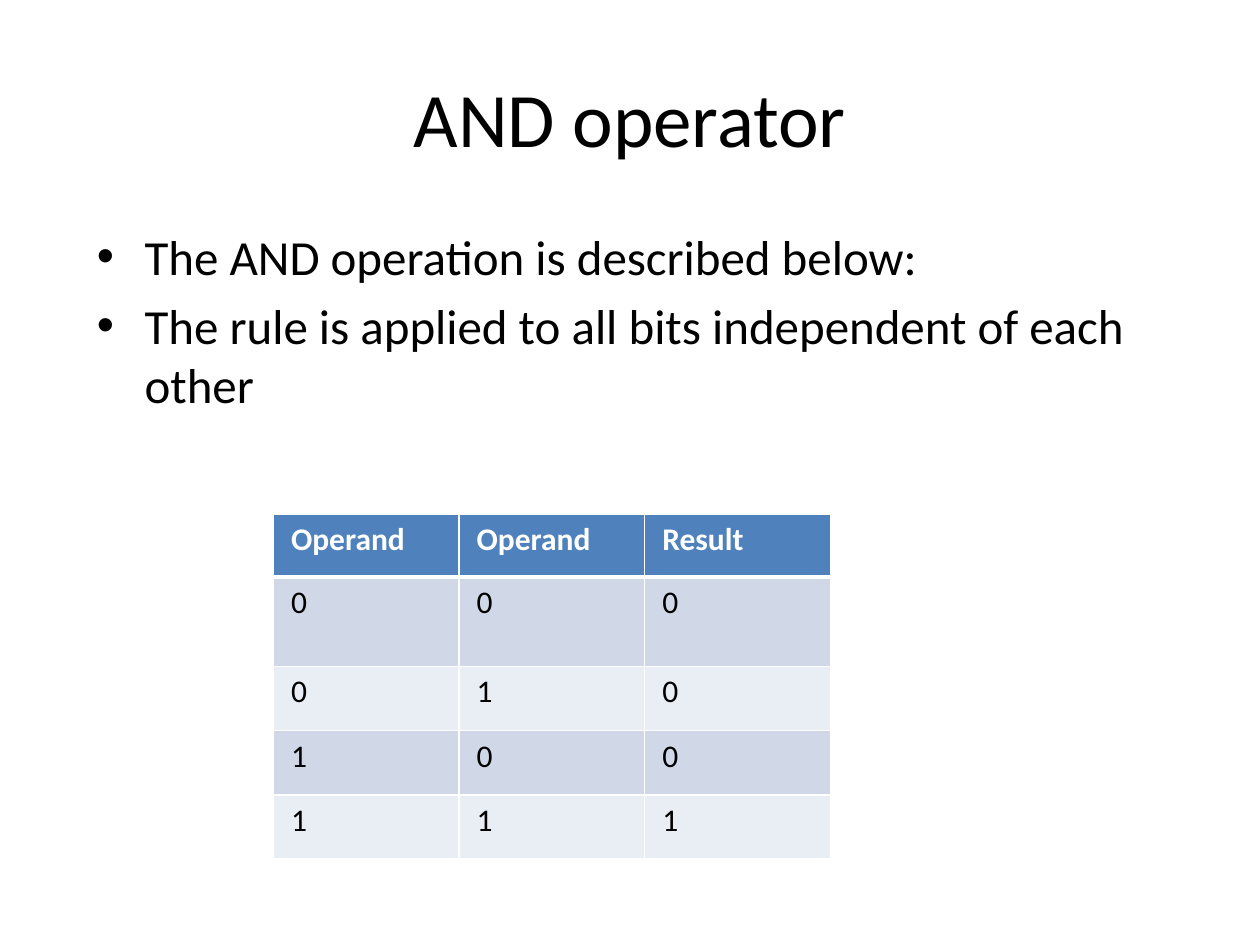
import pptx
import pptx.util
import pptx.dml.color
import pptx.enum.text
import pptx.oxml.ns
import lxml.etree

Inches = pptx.util.Inches
Pt = pptx.util.Pt
COLORS = {"text": "000000", "white": "FFFFFF", "header": "4F81BD",
          "band_dark": "D0D8E8", "band_light": "E9EDF4"}
FONT = "Calibri"
TRUTH_TABLE = [["Operand", "Operand", "Result"],
               ["0", "0", "0"],
               ["0", "1", "0"],
               ["1", "0", "0"],
               ["1", "1", "1"]]
ROW_HEIGHTS = [0.5, 0.71, 0.51, 0.51, 0.51]


def rgb(name):
    return pptx.dml.color.RGBColor.from_string(COLORS[name])


def add_xml(parent, tag, **attributes):
    return lxml.etree.SubElement(parent, pptx.oxml.ns.qn(tag), attributes)


def write(paragraph, text, size, color="text", bold=False):
    paragraph.text = text
    for run in paragraph.runs:
        run.font.name = FONT
        run.font.size = Pt(size)
        run.font.bold = bold
        run.font.color.rgb = rgb(color)


def add_text_frame(slide, box):
    frame = slide.shapes.add_textbox(*map(Inches, box)).text_frame
    frame.word_wrap = True
    return frame


def add_title(slide, box, text):
    title = add_text_frame(slide, box)
    title.vertical_anchor = pptx.enum.text.MSO_ANCHOR.MIDDLE
    write(title.paragraphs[0], text, 44)
    title.paragraphs[0].alignment = pptx.enum.text.PP_ALIGN.CENTER


def add_bullets(slide, box, points):
    body = add_text_frame(slide, box)
    for index, point in enumerate(points):
        paragraph = body.paragraphs[0] if index == 0 else body.add_paragraph()
        write(paragraph, point, 28)
        paragraph.space_before = Pt(5.6)
        properties = paragraph._p.get_or_add_pPr()
        properties.set("marL", str(Inches(0.38)))
        properties.set("indent", str(-Inches(0.38)))
        add_xml(properties, "a:buFont", typeface="Arial")
        add_xml(properties, "a:buChar", char="•")


def set_borders(cell, widths):
    properties = cell._tc.get_or_add_tcPr()
    for position, (side, width) in enumerate(widths.items()):
        border = add_xml(properties, "a:" + side, w=str(Pt(width)))
        add_xml(add_xml(border, "a:solidFill"), "a:srgbClr", val=COLORS["white"])
        properties.insert(position, border)


def add_truth_table(slide, box, rows, heights):
    table = slide.shapes.add_table(len(rows), len(rows[0]), *map(Inches, box)).table
    for column in table.columns:
        column.width = Inches(box[2] / len(rows[0]))
    for row_index, values in enumerate(rows):
        table.rows[row_index].height = Inches(heights[row_index])
        is_header = row_index == 0
        band = "band_dark" if row_index % 2 else "band_light"
        for column_index, value in enumerate(values):
            cell = table.cell(row_index, column_index)
            cell.margin_left = cell.margin_right = Inches(0.14)
            cell.margin_top = cell.margin_bottom = Inches(0.05)
            cell.fill.solid()
            cell.fill.fore_color.rgb = rgb("header" if is_header else band)
            write(cell.text_frame.paragraphs[0], value, 18,
                  "white" if is_header else "text", is_header)
            set_borders(cell, {"lnL": 1, "lnR": 1,
                               "lnT": 3 if row_index == 1 else 1,
                               "lnB": 3 if is_header else 1})


def build_operator_slide(presentation):
    slide = presentation.slides.add_slide(presentation.slide_layouts[6])
    add_title(slide, (0.5, 0.3, 9, 1.25), "AND operator")
    add_truth_table(slide, (2.17, 4.08, 4.42, sum(ROW_HEIGHTS)),
                    TRUTH_TABLE, ROW_HEIGHTS)
    add_bullets(slide, (0.67, 1.75, 8.83, 2),
                ["The AND operation is described below:",
                 "The rule is applied to all bits independent of each other"])


presentation = pptx.Presentation()
presentation.slide_width = Inches(10)
presentation.slide_height = Inches(7.5)
build_operator_slide(presentation)
presentation.save("out.pptx")
